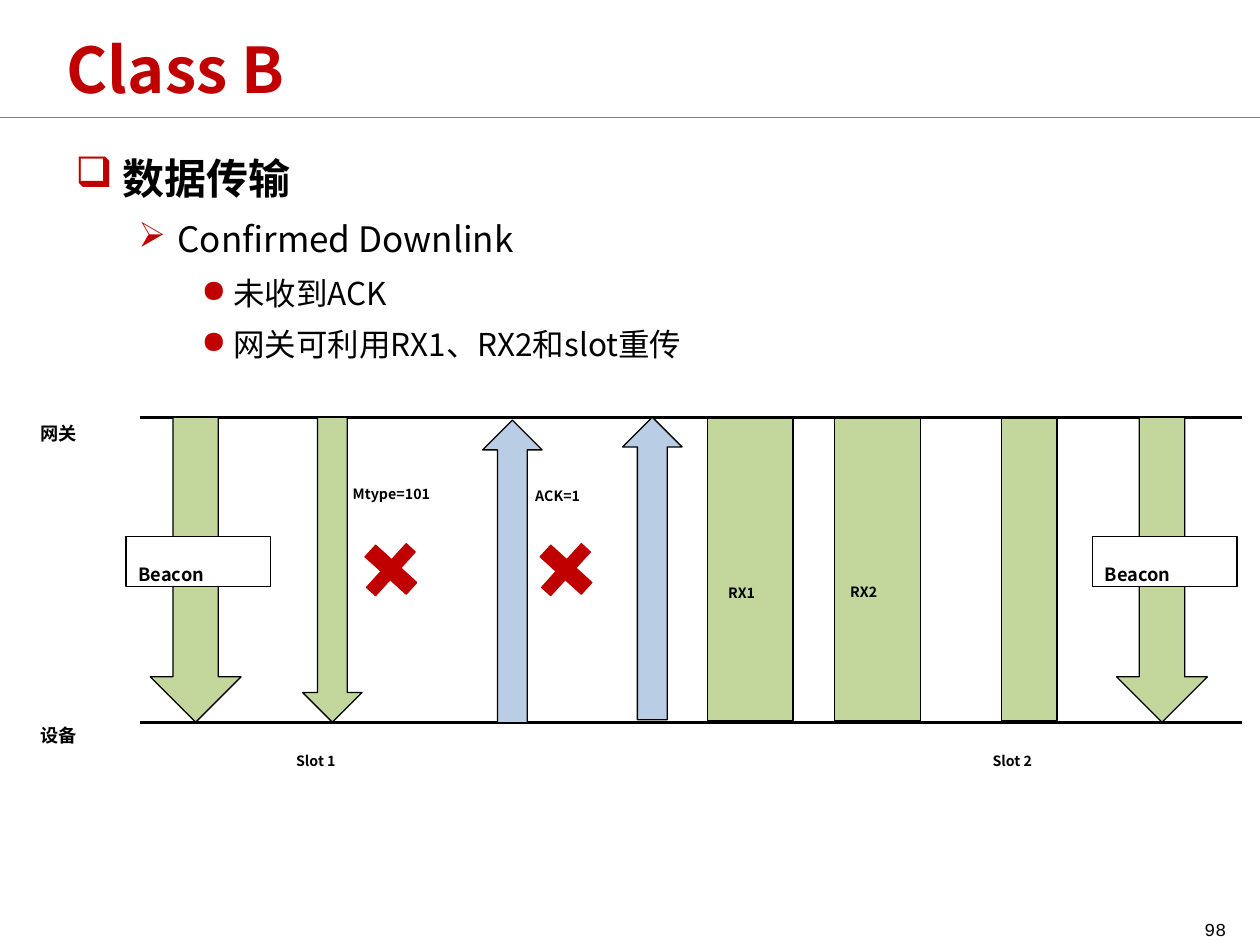
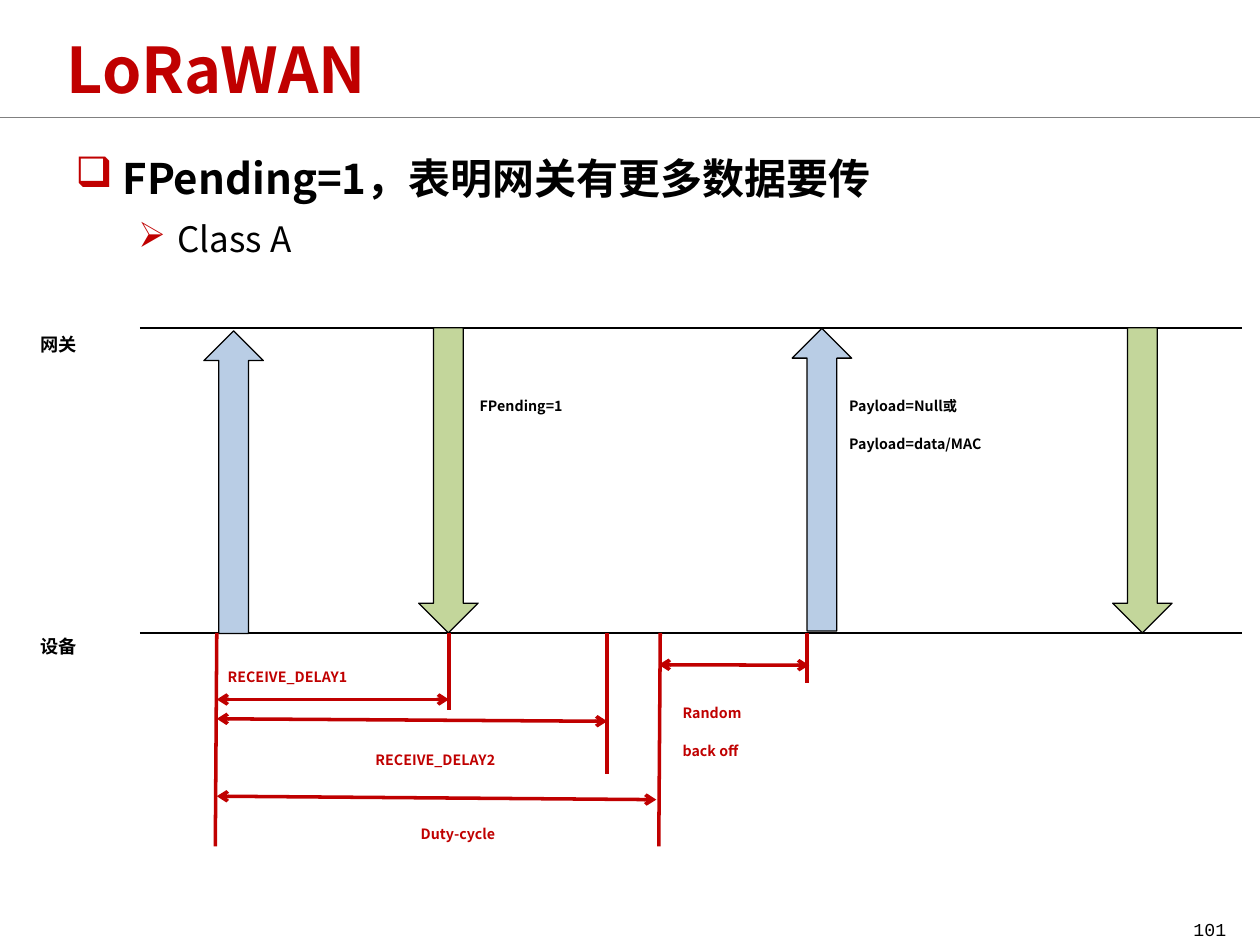
from dataclasses import dataclass

from lxml import etree
from pptx import Presentation
from pptx.dml.color import RGBColor
from pptx.enum.shapes import MSO_CONNECTOR, MSO_SHAPE
from pptx.enum.text import MSO_ANCHOR, PP_ALIGN
from pptx.oxml.ns import qn
from pptx.util import Cm, Pt

STRAIGHT = MSO_CONNECTOR.STRAIGHT
DOWN, UP = MSO_SHAPE.DOWN_ARROW, MSO_SHAPE.UP_ARROW
RECTANGLE, CROSS = MSO_SHAPE.RECTANGLE, MSO_SHAPE.CROSS
TOP, MIDDLE = MSO_ANCHOR.TOP, MSO_ANCHOR.MIDDLE
LEFT, RIGHT = PP_ALIGN.LEFT, PP_ALIGN.RIGHT
TITLE_ONLY = 5


@dataclass(frozen=True)
class Theme:
    font: str = "Noto Sans CJK SC"
    number_font: str = "Courier New"
    bullet_font: str = "OpenSymbol"
    accent: str = "C00000"
    ink: str = "000000"
    paper: str = "FFFFFF"
    rule: str = "808080"
    downlink: str = "C3D69B"
    uplink: str = "B9CDE5"
    title_size: int = 36
    party_size: int = 18
    label_size: int = 14
    number_size: int = 18
    outline: float = 0.75
    lifeline: float = 1.5
    timing: float = 2
    outline_spacing: float = 1.2


@dataclass(frozen=True)
class Level:
    bullet: str
    size: int
    bold: bool
    margin: float
    hanging: float


@dataclass(frozen=True)
class Box:
    left: float
    top: float
    width: float
    height: float

    def inside(self, x, y, width, height):
        return Box(self.left + x, self.top + y, width, height)

    def lengths(self):
        return Cm(self.left), Cm(self.top), Cm(self.width), Cm(self.height)


THEME = Theme()
LEVELS = [
    Level("❑", 24, True, 0.95, 0.95),
    Level("➢", 20, False, 2.06, 0.79),
    Level("●", 18, False, 3.18, 0.64),
]
PAGE_WIDTH, PAGE_HEIGHT = 25.4, 19.05
TITLE_BOX = Box(1.09, 0.1, 22.89, 2.54)
BODY_BOX = Box(1.27, 2.74, 23.06, 15.04)
NUMBER_BOX = Box(22.86, 18.2, 2.11, 0.64)
RULE_TOP = 2.36
DIAGRAM_LEFT, DIAGRAM_WIDTH = 0.56, 24.48
LIFELINE_START = 2.26
DEVICE_Y = 6.15
BLOCK_HEIGHT = 6.1
ARROW_WIDTH = 1.2
BEACON_WIDTH = 1.83
LABEL_HEIGHT = 0.86


def color(code):
    return RGBColor.from_string(code)


def style_para(para, size, code, bold=False, face=THEME.font, lowered=False):
    for span in para.runs:
        span.font.size = Pt(size)
        span.font.bold = bold
        span.font.color.rgb = color(code)
        span.font.name = face
        properties = span.font._element
        etree.SubElement(properties, qn("a:ea")).set("typeface", face)
        if lowered:
            properties.set("baseline", "-25000")


def write_lowered(frame, text, size, code, bold=True, face=THEME.font, align=LEFT, anchor=TOP):
    frame.word_wrap = True
    frame.vertical_anchor = anchor
    frame.text = text
    for index, para in enumerate(frame.paragraphs):
        para.alignment = align
        if index:
            para.space_before = Pt(2.5)
        style_para(para, size, code, bold, face, lowered=True)


def add_text(page, box, text, size, code=THEME.ink, **options):
    text_box = page.shapes.add_textbox(*box.lengths())
    write_lowered(text_box.text_frame, text, size, code, **options)


def add_block(page, box, kind, fill, line=THEME.ink):
    block = page.shapes.add_shape(kind, *box.lengths())
    block.shadow.inherit = False
    block.fill.solid()
    block.fill.fore_color.rgb = color(fill)
    block.line.color.rgb = color(line)
    block.line.width = Pt(THEME.outline)
    return block


def add_line(page, box, start, end, code, weight, arrows=False):
    ends = [Cm(value) for x, y in (start, end) for value in (box.left + x, box.top + y)]
    line = page.shapes.add_connector(STRAIGHT, *ends)
    line.line.color.rgb = color(code)
    line.line.width = Pt(weight)
    if arrows:
        for tag in ("a:headEnd", "a:tailEnd"):
            etree.SubElement(line.line._get_or_add_ln(), qn(tag)).set("type", "arrow")
    etree.SubElement(line._element.spPr, qn("a:effectLst"))


def add_bullet(para, level):
    properties = para._p.get_or_add_pPr()
    properties.set("marL", str(Cm(level.margin)))
    properties.set("indent", str(-Cm(level.hanging)))
    shade = etree.SubElement(properties, qn("a:buClr"))
    etree.SubElement(shade, qn("a:srgbClr")).set("val", THEME.accent)
    etree.SubElement(properties, qn("a:buFont")).set("typeface", THEME.bullet_font)
    etree.SubElement(properties, qn("a:buChar")).set("char", level.bullet)


def add_outline(page, box, items):
    frame = page.shapes.add_textbox(*box.lengths()).text_frame
    frame.word_wrap = True
    frame.text = "\n".join(text for _, text in items)
    for index, (para, (depth, _)) in enumerate(zip(frame.paragraphs, items)):
        level = LEVELS[depth]
        para.level = depth
        add_bullet(para, level)
        para.line_spacing = THEME.outline_spacing
        if index:
            para.space_before = Pt(level.size * 0.2)
        style_para(para, level.size, THEME.ink, level.bold)


def add_page(deck, title, items, number):
    page = deck.slides.add_slide(deck.slide_layouts[TITLE_ONLY])
    heading = page.shapes.title
    heading.left, heading.top, heading.width, heading.height = TITLE_BOX.lengths()
    heading.text_frame.text = title
    heading.text_frame.vertical_anchor = MIDDLE
    para = heading.text_frame.paragraphs[0]
    para.alignment = LEFT
    style_para(para, THEME.title_size, THEME.accent, True)
    rule_box = Box(0, RULE_TOP, PAGE_WIDTH, 0)
    add_line(page, rule_box, (0, 0), (PAGE_WIDTH, 0), THEME.rule, 0.25)
    add_outline(page, BODY_BOX, items)
    add_text(page, NUMBER_BOX, number, THEME.number_size, bold=False,
             face=THEME.number_font, align=RIGHT, anchor=MIDDLE)
    return page


def add_lifelines(page, box):
    for y, label_y, party in ((0, -0.44, "网关"), (DEVICE_Y, 5.64, "设备")):
        add_line(page, box, (LIFELINE_START, y), (box.width, y), THEME.ink, THEME.lifeline)
        add_text(page, box.inside(0, label_y, 1.85, 1.02), party, THEME.party_size)


def add_downlink(page, box, x, width=ARROW_WIDTH):
    add_block(page, box.inside(x, 0, width, DEVICE_Y), DOWN, THEME.downlink)


def add_uplink(page, box, x, y):
    add_block(page, box.inside(x, y, ARROW_WIDTH, BLOCK_HEIGHT), UP, THEME.uplink)


def add_label(page, box, x, y, width, text, code=THEME.ink):
    add_text(page, box.inside(x, y, width, LABEL_HEIGHT), text, THEME.label_size, code)


def add_beacon(page, box, x):
    add_downlink(page, box, x, BEACON_WIDTH)
    tag = add_block(page, box.inside(x - 0.49, 2.4, 2.92, 1.02), RECTANGLE, THEME.paper)
    write_lowered(tag.text_frame, "Beacon", THEME.party_size, THEME.ink)


def add_failure(page, box, x):
    mark = add_block(page, box.inside(x, 2.48, 1.12, 1.19), CROSS, THEME.accent, THEME.accent)
    mark.adjustments[0] = 0.39
    mark.rotation = 42.3


def draw_retransmission(page, box):
    add_lifelines(page, box)
    for x in (2.47, 21.95):
        add_beacon(page, box, x)
    add_downlink(page, box, 5.54)
    for x, y in ((9.17, 0.06), (11.99, 0)):
        add_uplink(page, box, x, y)
    for x, width in ((13.7, 1.73), (16.27, 1.73), (19.63, 1.12)):
        add_block(page, box.inside(x, 0.02, width, BLOCK_HEIGHT), RECTANGLE, THEME.downlink)
    for x in (6.76, 10.29):
        add_failure(page, box, x)
    for x, y, width, text in (
        (6.3, 0.91, 3.58, "Mtype=101"),
        (9.98, 0.95, 2.24, "ACK=1"),
        (13.87, 2.92, 1.63, "RX1"),
        (16.33, 2.9, 1.63, "RX2"),
        (5.16, 6.3, 1.98, "Slot 1"),
        (19.2, 6.3, 1.98, "Slot 2"),
    ):
        add_label(page, box, x, y, width, text)


def draw_pending(page, box):
    add_lifelines(page, box)
    for x, y in ((3.55, 0.06), (15.41, 0.01)):
        add_uplink(page, box, x, y)
    for x in (7.88, 21.87):
        add_downlink(page, box, x)
    for x, text in ((8.86, "FPending=1"), (16.31, "Payload=Null或\nPayload=data/MAC")):
        add_label(page, box, x, 0.94, 5.5, text)
    for x, foot_x, foot_y in (
        (3.81, 3.78, 10.45),
        (8.49, 8.49, 7.7),
        (11.68, 11.68, 9),
        (12.75, 12.72, 10.45),
        (15.71, 15.71, 7.15),
    ):
        add_line(page, box, (x, DEVICE_Y), (foot_x, foot_y), THEME.accent, THEME.timing)
    for start, end in (
        ((3.81, 7.49), (8.49, 7.49)),
        ((3.81, 7.88), (11.68, 7.93)),
        ((3.81, 9.44), (12.67, 9.51)),
        ((12.72, 6.79), (15.75, 6.8)),
    ):
        add_line(page, box, start, end, THEME.accent, THEME.timing, arrows=True)
    for x, y, width, text in (
        (3.78, 6.4, 4.72, "RECEIVE_DELAY1"),
        (6.76, 8.08, 5.11, "RECEIVE_DELAY2"),
        (7.67, 9.58, 3.99, "Duty-cycle"),
        (12.95, 7.14, 2.77, "Random\nback off"),
    ):
        add_label(page, box, x, y, width, text, THEME.accent)


def main():
    deck = Presentation()
    deck.slide_width, deck.slide_height = Cm(PAGE_WIDTH), Cm(PAGE_HEIGHT)
    page = add_page(deck, "Class B", [
        (0, "数据传输"),
        (1, "Confirmed Downlink"),
        (2, "未收到ACK"),
        (2, "网关可利用RX1、RX2和slot重传"),
    ], "98")
    draw_retransmission(page, Box(DIAGRAM_LEFT, 8.41, DIAGRAM_WIDTH, DEVICE_Y))
    page = add_page(deck, "LoRaWAN", [
        (0, "FPending=1，表明网关有更多数据要传"),
        (1, "Class A"),
    ], "101")
    draw_pending(page, Box(DIAGRAM_LEFT, 6.61, DIAGRAM_WIDTH, DEVICE_Y))
    deck.save("out.pptx")


if __name__ == "__main__":
    main()
